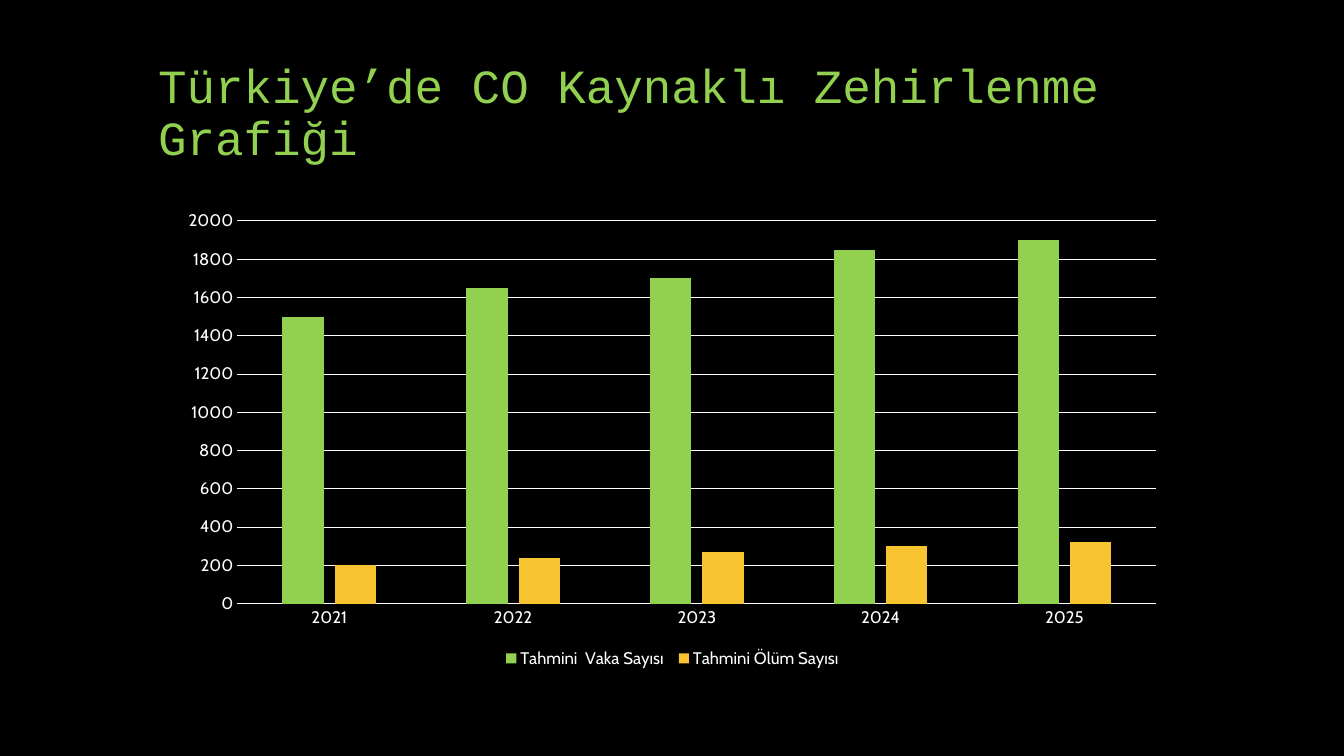
import pptx
import pptx.util
import pptx.chart.data
import pptx.dml.color
import pptx.enum.chart
import pptx.enum.text
from pptx.util import Inches, Pt

TITLE = "Türkiye’de CO Kaynaklı Zehirlenme Grafiği"
YEARS = ["2021", "2022", "2023", "2024", "2025"]
ESTIMATES = [
    ("Tahmini  Vaka Sayısı ", "92D050", [1500, 1650, 1700, 1850, 1900]),
    ("Tahmini Ölüm Sayısı", "F7C331", [200, 240, 270, 300, 320]),
]
BLACK, WHITE, GREEN = "000000", "FFFFFF", "92D050"


def paint(color_format, hex_color):
    color_format.rgb = pptx.dml.color.RGBColor.from_string(hex_color)


def set_font(font, name, size, hex_color):
    font.name = name
    font.size = Pt(size)
    paint(font.color, hex_color)


def set_line(line, hex_color, width=0.75):
    line.width = Pt(width)
    line.fill.solid()
    paint(line.fill.fore_color, hex_color)


def add_title(slide):
    frame = slide.shapes.add_textbox(
        Inches(1.47), Inches(0.44), Inches(10.98), Inches(1.25)).text_frame
    frame.word_wrap = True
    frame.vertical_anchor = pptx.enum.text.MSO_ANCHOR.BOTTOM
    heading = frame.paragraphs[0]
    heading.line_spacing = 0.9
    run = heading.add_run()
    run.text = TITLE
    set_font(run.font, "Courier New", 34, GREEN)


def add_poisoning_chart(slide):
    chart_data = pptx.chart.data.CategoryChartData()
    chart_data.categories = YEARS
    for name, _, counts in ESTIMATES:
        chart_data.add_series(name, counts)
    chart = slide.shapes.add_chart(
        pptx.enum.chart.XL_CHART_TYPE.COLUMN_CLUSTERED,
        Inches(1.67), Inches(2), Inches(10), Inches(4.67), chart_data).chart
    chart.has_title = False
    set_font(chart.font, "Cabin", 10, WHITE)

    columns = chart.plots[0]
    columns.gap_width = 219
    columns.overlap = -27
    columns.vary_by_categories = False
    for series, (_, hex_color, _) in zip(columns.series, ESTIMATES):
        series.format.fill.solid()
        paint(series.format.fill.fore_color, hex_color)
        series.invert_if_negative = False

    years, counts = chart.category_axis, chart.value_axis
    for axis in (years, counts):
        axis.major_tick_mark = pptx.enum.chart.XL_TICK_MARK.NONE
        axis.minor_tick_mark = pptx.enum.chart.XL_TICK_MARK.NONE
        set_font(axis.tick_labels.font, "Cabin", 12, WHITE)
    set_line(years.format.line, WHITE)
    counts.format.line.fill.background()
    counts.minimum_scale, counts.maximum_scale, counts.major_unit = 0, 2000, 200
    counts.has_major_gridlines = True
    set_line(counts.major_gridlines.format.line, WHITE)

    chart.has_legend = True
    chart.legend.position = pptx.enum.chart.XL_LEGEND_POSITION.BOTTOM
    chart.legend.include_in_layout = False
    set_font(chart.legend.font, "Cabin", 12, WHITE)


def main():
    deck = pptx.Presentation()
    deck.slide_width, deck.slide_height = Inches(13.33), Inches(7.5)
    slide = deck.slides.add_slide(deck.slide_layouts[6])
    slide.background.fill.solid()
    paint(slide.background.fill.fore_color, BLACK)
    add_title(slide)
    add_poisoning_chart(slide)
    deck.save("out.pptx")


if __name__ == "__main__":
    main()
